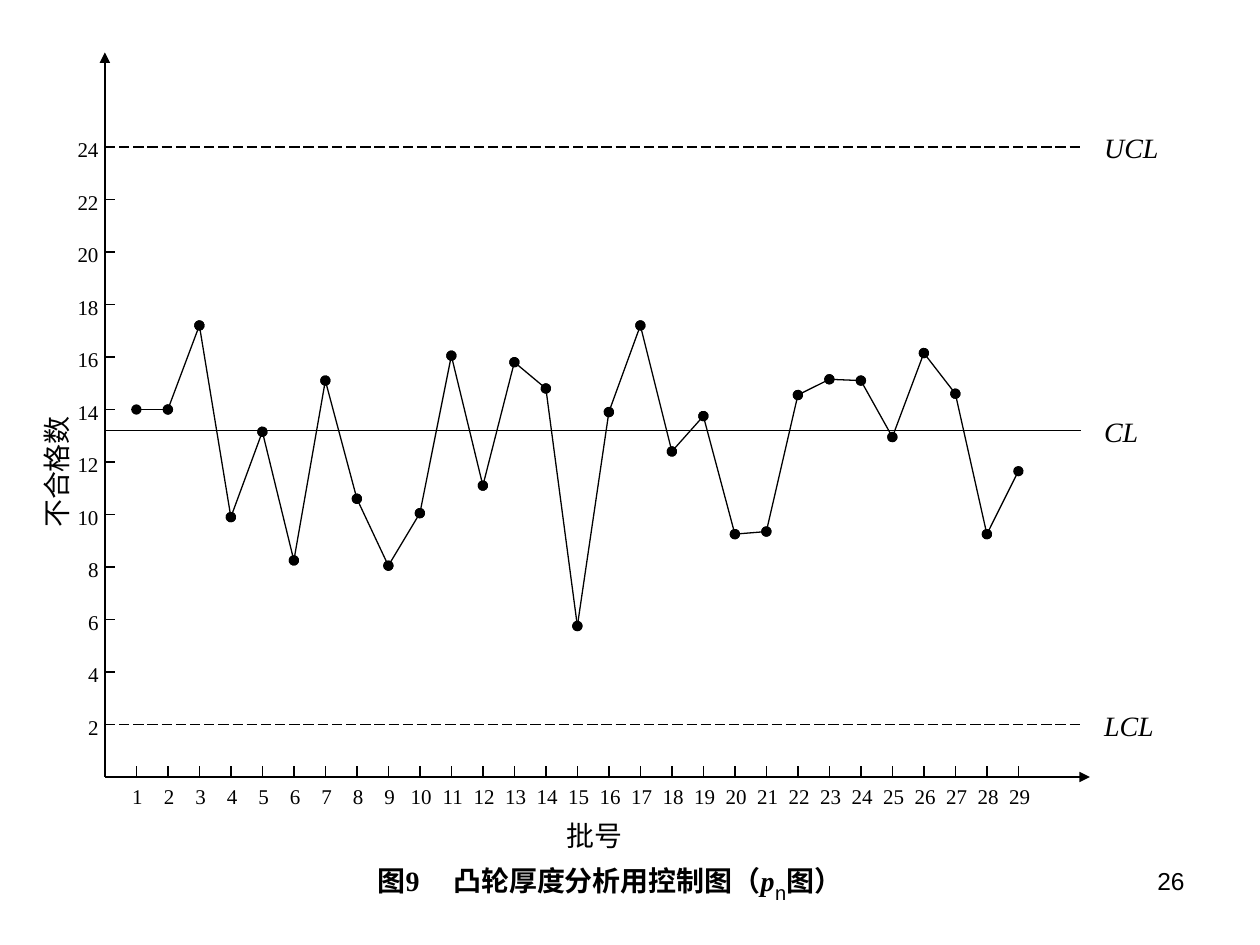
from dataclasses import dataclass
from itertools import pairwise

from pptx import Presentation
from pptx.dml.color import RGBColor
from pptx.enum.dml import MSO_LINE_DASH_STYLE as Dash
from pptx.enum.shapes import MSO_CONNECTOR_TYPE as Connector
from pptx.enum.text import PP_ALIGN as Align
from pptx.oxml.ns import qn
from pptx.util import Inches, Pt
from lxml.etree import SubElement


@dataclass(frozen=True)
class Theme:
    ink: RGBColor = RGBColor(0, 0, 0)
    serif: str = "Times New Roman"
    sans: str = "Arial"
    mono: str = "Courier New"
    tick_size: int = 12
    label_size: int = 16
    page_size: int = 14
    subscript_size: int = 20
    stroke: float = 0.75


THEME = Theme()
WIDTH, HEIGHT = Inches(10), Inches(7.5)
COLUMN, ROW = WIDTH / 40, HEIGHT / 36
ORIGIN_COLUMN, ORIGIN_ROW = 3.33, 29.6
BATCHES = 29
COUNTS = range(2, 25, 2)
DEFECTS = [
    14, 14, 17.2, 9.9, 13.15, 8.25, 15.1, 10.6, 8.05, 10.05,
    16.05, 11.1, 15.8, 14.8, 5.75, 13.9, 17.2, 12.4, 13.75, 9.25,
    9.35, 14.55, 15.15, 15.1, 12.95, 16.15, 14.6, 9.25, 11.65,
]
LIMITS = [("LCL", 2, Dash.LONG_DASH), ("CL", 13.2, None), ("UCL", 24, Dash.LONG_DASH)]


def across(batch):
    return round((ORIGIN_COLUMN + batch) * COLUMN)


def down(count):
    return round((ORIGIN_ROW - count) * ROW)


def add_line(slide, start, end, dash=None, ends=None):
    line = slide.shapes.add_connector(
        Connector.STRAIGHT, across(start[0]), down(start[1]), across(end[0]), down(end[1]))
    line.line.color.rgb = THEME.ink
    line.line.width = Pt(THEME.stroke)
    if dash:
        line.line.dash_style = dash
    for end_name, kind in (ends or {}).items():
        SubElement(line.line._get_or_add_ln(), qn(f"a:{end_name}"), type=kind)
    SubElement(line._element.spPr, qn("a:effectLst"))


def add_tabs(para, positions, alignment):
    tabs = SubElement(para._p.get_or_add_pPr(), qn("a:tabLst"))
    for position in positions:
        SubElement(tabs, qn("a:tab"), pos=str(round(position)), algn=alignment)


def add_text(slide, place, spans, size, tabs=None, align=Align.LEFT, rotation=0):
    box = slide.shapes.add_textbox(*(round(length) for length in place))
    box.rotation = rotation
    box.text_frame.word_wrap = True
    para = box.text_frame.paragraphs[0]
    para.alignment = align
    if tabs:
        add_tabs(para, *tabs)
    for text, formats in spans:
        span = para.add_run()
        span.text = text
        span.font.color.rgb = THEME.ink
        for name, value in ({"name": THEME.serif, "size": Pt(size)} | formats).items():
            setattr(span.font, name, value)
    return para


def draw_axes(slide):
    for end in ((31.27, 0), (0, 27.6)):
        add_line(slide, (0, 0), end, ends={"tailEnd": "triangle"})
    for batch in range(1, BATCHES + 1):
        add_line(slide, (batch, 0.4), (batch, 0))
    for count in COUNTS:
        add_line(slide, (0, count), (0.33, count))
        digits = len(str(count))
        place = (across(-0.6 - 0.33 * digits), down(count + 0.62),
                 COLUMN * (0.75 + 0.6 * digits), ROW * 1.44)
        add_text(slide, place, [(str(count), {})], THEME.tick_size)
    batch_labels = "\t".join(str(batch) for batch in range(1, BATCHES + 1))
    stops = [COLUMN * (0.18 + step) for step in range(1, BATCHES)]
    place = (across(0.47), down(0), COLUMN * 34, ROW * 1.44)
    add_text(slide, place, [(batch_labels, {})], THEME.tick_size, (stops, "ctr"))


def draw_limits(slide):
    for name, count, dash in LIMITS:
        add_line(slide, (0, count), (31, count), dash)
        place = (across(31.33), down(count + 0.85), COLUMN * 3.7, ROW * 1.76)
        add_text(slide, place, [(name, {"italic": True})], THEME.label_size)


def draw_defects(slide):
    for start, end in pairwise(enumerate(DEFECTS, 1)):
        add_line(slide, start, end, ends={"headEnd": "oval", "tailEnd": "oval"})


def draw_titles(slide):
    add_text(slide, (WIDTH * 0.44, HEIGHT * 0.86, WIDTH * 0.13, HEIGHT * 0.05),
             [("批号", {})], THEME.label_size)
    add_text(slide, (WIDTH * -0.02, HEIGHT * 0.46, WIDTH * 0.13, HEIGHT * 0.05),
             [("不合格数", {})], THEME.label_size, rotation=270)
    bold = {"bold": True}
    caption = [("图9\t凸轮厚度分析用控制图（", bold), ("p", bold | {"italic": True}),
               ("n", {"name": THEME.mono, "size": Pt(THEME.subscript_size)}), ("图）", bold)]
    para = add_text(slide, (WIDTH * 0.29, HEIGHT * 0.9, WIDTH * 0.43, HEIGHT * 0.06),
                    caption, THEME.label_size, ([WIDTH * 0.06], "l"))
    para.runs[2].font._element.set("baseline", "-25000")
    add_text(slide, (WIDTH * 0.72, HEIGHT * 0.91, WIDTH * 0.23, HEIGHT * 0.07),
             [("26", {"name": THEME.sans})], THEME.page_size, align=Align.RIGHT)


def main():
    deck = Presentation()
    deck.slide_width, deck.slide_height = WIDTH, HEIGHT
    slide = deck.slides.add_slide(deck.slide_layouts[6])
    for draw in (draw_axes, draw_limits, draw_defects, draw_titles):
        draw(slide)
    deck.save("out.pptx")


if __name__ == "__main__":
    main()
